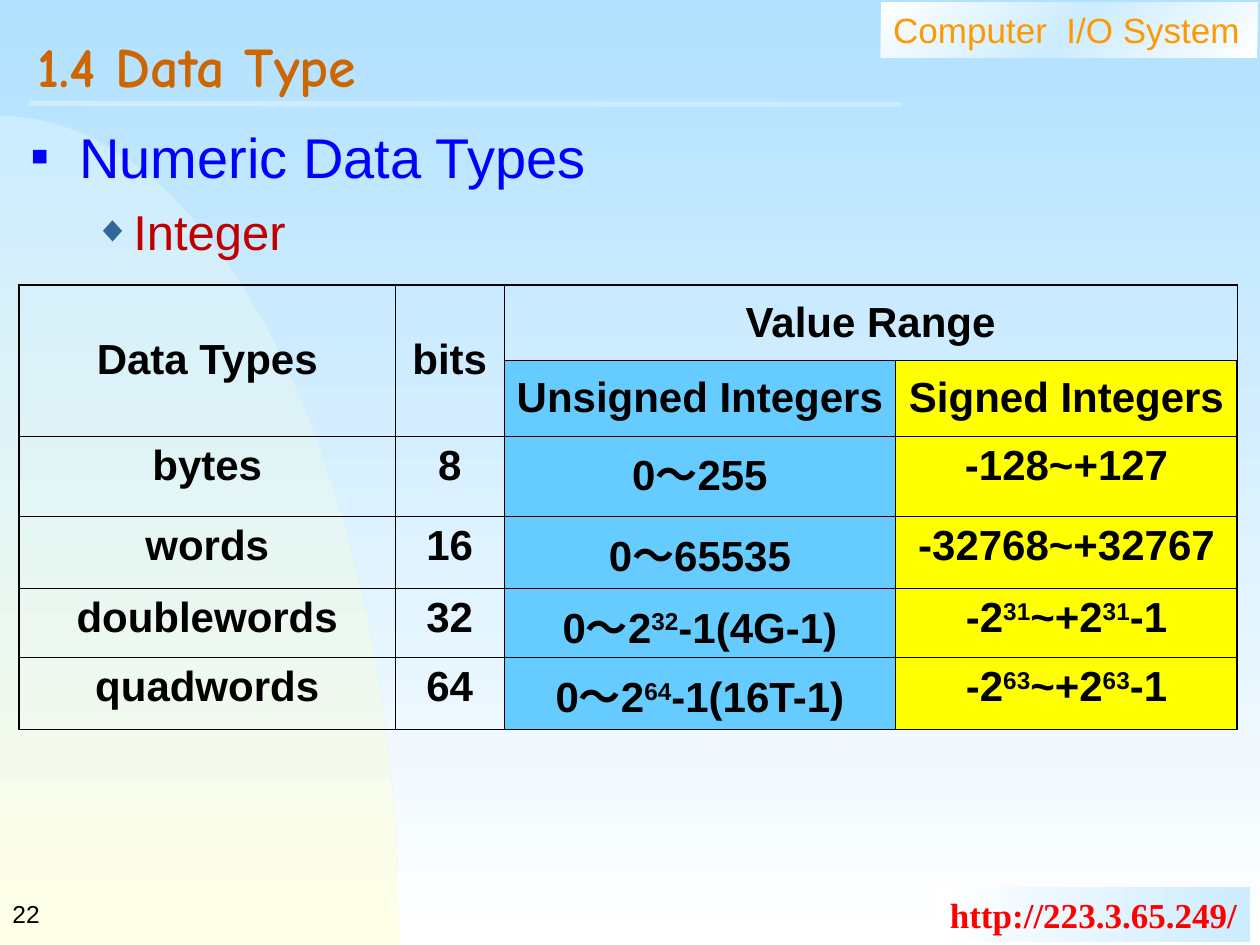
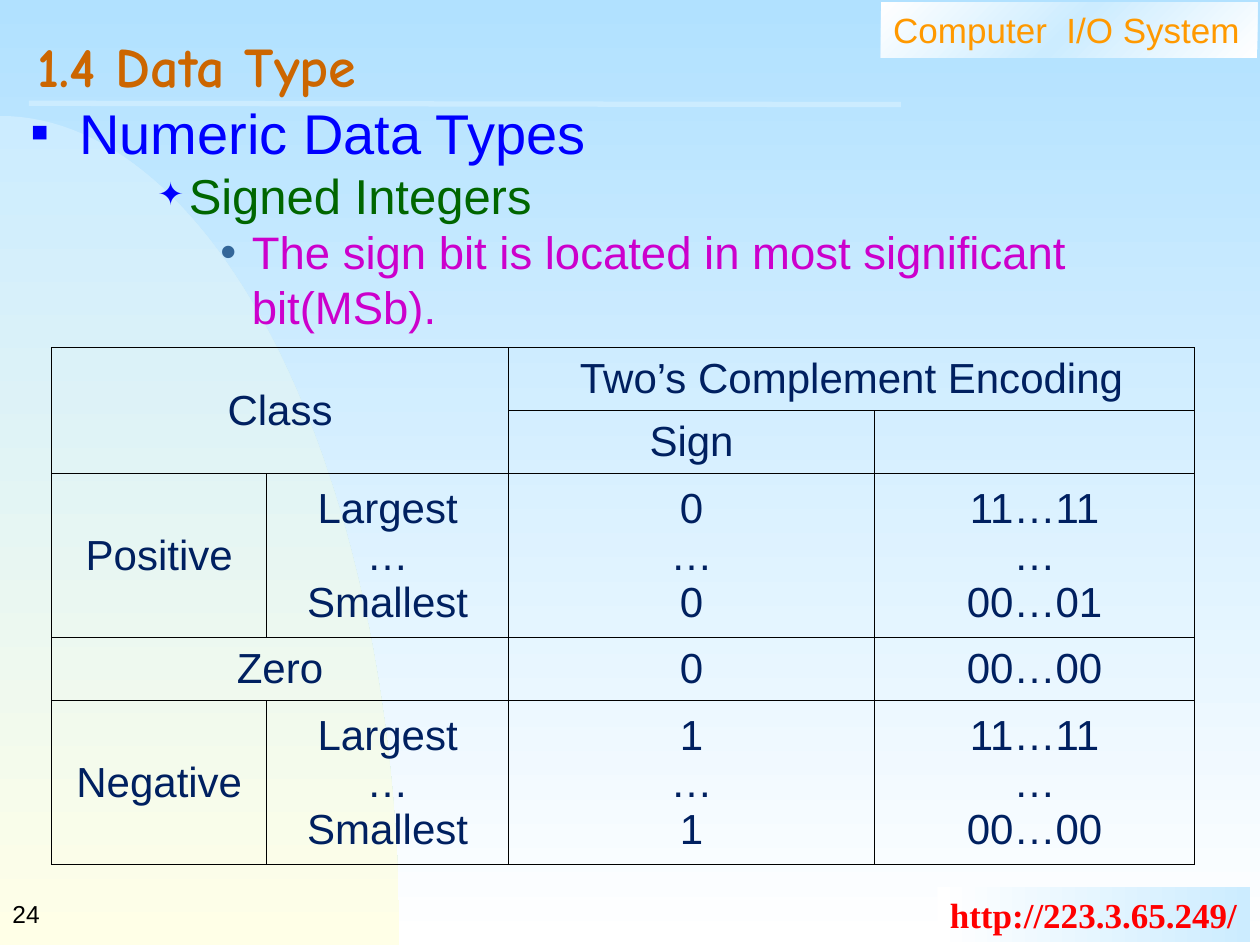
import math
from copy import deepcopy
from dataclasses import dataclass

from lxml import etree
from pptx import Presentation
from pptx.dml.color import RGBColor
from pptx.enum.shapes import MSO_CONNECTOR, MSO_SHAPE
from pptx.enum.text import MSO_ANCHOR, MSO_AUTO_SIZE, PP_ALIGN
from pptx.oxml.ns import qn
from pptx.util import Inches, Pt

LEFT, CENTER = PP_ALIGN.LEFT, PP_ALIGN.CENTER
TOP, MIDDLE = MSO_ANCHOR.TOP, MSO_ANCHOR.MIDDLE
GROW = MSO_AUTO_SIZE.SHAPE_TO_FIT_TEXT
RECTANGLE, STRAIGHT = MSO_SHAPE.RECTANGLE, MSO_CONNECTOR.STRAIGHT

# The slide is a grid of 100 columns by 75 rows of square units.
COLUMNS, ROWS = 100, 75
SLIDE_WIDTH, SLIDE_HEIGHT = Inches(10), Inches(7.5)
UNIT = SLIDE_WIDTH // COLUMNS

BLACK, WHITE, PALE_BLUE = "000000", "FFFFFF", "CCECFF"
SKY, CREAM = "B1E1FF", "FFFFE7"
BLUE, STEEL, NAVY = "0000FF", "336699", "002060"
CYAN, YELLOW = "66CCFF", "FFFF00"

THIN, THICK = 0.45, 1.08


@dataclass
class Style:
    size: float
    colour: str
    font: str = "Arial"
    bold: bool = False


@dataclass
class Bullet:
    mark: str
    colour: str
    percent: int
    indent: float
    hanging: float


TITLE = Style(32, "CC6600", "Comic Neue", True)
COURSE = Style(20, "FF9900")
ADDRESS = Style(20, "FF0000", "Times New Roman", True)
PAGE_NUMBER = Style(14, BLACK)

SQUARE = Bullet("■", BLUE, 50, 3.8, 3.8)
DIAMOND = Bullet("◆", STEEL, 75, 8.1, 3.1)
STAR = Bullet("✦", BLUE, 65, 12.5, 2.5)
DOT = Bullet("•", STEEL, 100, 17.5, 2.5)
TOPIC = ("Numeric Data Types", Style(32, BLUE), SQUARE, 0)


def units(*lengths):
    return [round(length * UNIT) for length in lengths]


def rgb(colour):
    return RGBColor.from_string(colour)


def gradient(fill, owner, colours, angle):
    """Spread the colours evenly; the angle runs counter-clockwise."""
    fill.gradient()
    stop_list = owner.xpath(".//a:gsLst")[0]
    while len(stop_list) < len(colours):
        stop_list.append(deepcopy(stop_list[-1]))
    for i, (stop, colour) in enumerate(zip(fill.gradient_stops, colours)):
        stop.position = i / (len(colours) - 1)
        stop.color.rgb = rgb(colour)
    fill.gradient_angle = angle


def add_bullet(paragraph, bullet):
    properties = paragraph._p.get_or_add_pPr()
    indent, hanging = units(bullet.indent, bullet.hanging)
    properties.set("marL", str(indent))
    properties.set("indent", str(-hanging))
    colour = etree.SubElement(properties, qn("a:buClr"))
    etree.SubElement(colour, qn("a:srgbClr"), val=bullet.colour)
    etree.SubElement(properties, qn("a:buSzPct"), val=str(bullet.percent * 1000))
    etree.SubElement(properties, qn("a:buFont"), typeface="Arial")
    etree.SubElement(properties, qn("a:buChar"), char=bullet.mark)


def write(paragraph, text, style, align=LEFT):
    """Write the text; parts between carets are superscripts."""
    paragraph.alignment = align
    font = paragraph.font
    font.name, font.size, font.bold = style.font, Pt(style.size), style.bold
    font.color.rgb = rgb(style.colour)
    for i, part in enumerate(text.split("^")):
        run = paragraph.add_run()
        run.text = part
        if i % 2:
            run._r.get_or_add_rPr().set("baseline", "30000")


def text_box(slide, box, anchor=TOP):
    frame = slide.shapes.add_textbox(*units(*box)).text_frame
    frame.word_wrap = True
    frame.vertical_anchor = anchor
    return frame


def band(slide, box, text, style, colours, angle, wrap):
    shape = slide.shapes.add_shape(RECTANGLE, *units(*box))
    shape.shadow.inherit = False
    shape.line.fill.background()
    gradient(shape.fill, shape._element, colours, angle)
    frame = shape.text_frame
    frame.word_wrap = wrap
    frame.auto_size = GROW
    frame.vertical_anchor = TOP
    write(frame.paragraphs[0], text, style)


def hill(slide, box, steps=60):
    """A quarter ellipse around the lower left corner of the box."""
    left, top, width, height = box
    angles = [math.pi / 2 * i / steps for i in range(steps + 1)]
    rim = [units(left + width * math.sin(a), top + height * (1 - math.cos(a)))
           for a in angles]
    builder = slide.shapes.build_freeform(*rim[0])
    builder.add_line_segments(rim[1:] + [units(left, top + height)], close=True)
    shape = builder.convert_to_shape()
    shape.shadow.inherit = False
    shape.line.fill.background()
    gradient(shape.fill, shape._element, [PALE_BLUE, CREAM], 270)


def title_rule(slide, start, end):
    rule = slide.shapes.add_connector(STRAIGHT, *units(*start, *end))
    rule.line.color.rgb = rgb(PALE_BLUE)
    rule.line.width = Pt(3)
    etree.SubElement(rule._element.spPr, qn("a:effectLst"))


def base_slide(deck, number):
    slide = deck.slides.add_slide(deck.slide_layouts[6])
    gradient(slide.background.fill, slide._element, [SKY, WHITE], 270)
    hill(slide, (0, 9.2, 31.7, ROWS - 9.2))
    band(slide, (69.9, 0.2, 29.9, 4.4), "Computer  I/O System", COURSE,
         [WHITE, PALE_BLUE, WHITE], 315, True)
    band(slide, (74.4, 70.4, 24.8, 4.4), "http://223.3.65.249/", ADDRESS,
         [WHITE, PALE_BLUE], 0, False)
    title_rule(slide, (2.3, 8.2), (71.5, 8.3))
    title = text_box(slide, (2, 2, 95.5, 7.7), MIDDLE).paragraphs[0]
    title.line_spacing = 0.7
    write(title, "1.4 Data Type", TITLE)
    page = text_box(slide, (0, 70, 20.8, 5), MIDDLE).paragraphs[0]
    write(page, number, PAGE_NUMBER)
    return slide


def outline(slide, box, points):
    frame = text_box(slide, box)
    for i, (text, style, bullet, space) in enumerate(points):
        paragraph = frame.add_paragraph() if i else frame.paragraphs[0]
        add_bullet(paragraph, bullet)
        paragraph.space_before = Pt(space)
        write(paragraph, text, style)


def set_borders(cell, widths):
    properties = cell._tc.get_or_add_tcPr()
    for side, width in widths.items():
        line = etree.SubElement(properties, qn(f"a:ln{side}"), w=str(Pt(width)))
        fill = etree.SubElement(line, qn("a:solidFill"))
        etree.SubElement(fill, qn("a:srgbClr"), val=BLACK)


def grid_table(slide, box, columns, rows, texts, merges, style,
               frame_width=THIN, fills=None, header_rows=None):
    """Rows after header_rows hang from the top; fills maps columns to
    colours, used below the first row."""
    row_count, column_count = len(rows), len(columns)
    table = slide.shapes.add_table(row_count, column_count, *units(*box)).table
    table.first_row = table.horz_banding = False
    for column, share in zip(table.columns, columns):
        column.width, = units(box[2] * share / sum(columns))
    for row, share in zip(table.rows, rows):
        row.height, = units(box[3] * share / sum(rows))

    for r, row_texts in enumerate(texts):
        for c, text in enumerate(row_texts):
            cell = table.cell(r, c)
            set_borders(cell, {
                "L": THIN if c else frame_width,
                "R": THIN if c < column_count - 1 else frame_width,
                "T": THIN if r else frame_width,
                "B": THIN if r < row_count - 1 else frame_width})
            if r and fills and c in fills:
                cell.fill.solid()
                cell.fill.fore_color.rgb = rgb(fills[c])
            else:
                cell.fill.background()
            in_header = header_rows is None or r < header_rows
            cell.vertical_anchor = MIDDLE if in_header else TOP
            if not text:
                continue
            frame = cell.text_frame
            for i, line in enumerate(text.split("\n")):
                paragraph = frame.add_paragraph() if i else frame.paragraphs[0]
                write(paragraph, line, style, CENTER)

    for first, last in merges:
        table.cell(*first).merge(table.cell(*last))


def integer_slide(deck):
    slide = base_slide(deck, "22")
    outline(slide, (1.5, 9.2, 96, 60), [
        TOPIC, ("Integer", Style(28, "C00000"), DIAMOND, 7)])
    grid_table(
        slide, (1.5, 22.6, 96.7, 35.3),
        columns=[29.9, 8.6, 31.1, 27.1],
        rows=[6, 6, 6.4, 5.7, 5.5, 5.7],
        texts=[
            ["Data Types", "bits", "Value Range", ""],
            ["", "", "Unsigned Integers", "Signed Integers"],
            ["bytes", "8", "0～255", "-128~+127"],
            ["words", "16", "0～65535", "-32768~+32767"],
            ["doublewords", "32", "0～2^32^-1(4G-1)", "-2^31^~+2^31^-1"],
            ["quadwords", "64", "0～2^64^-1(16T-1)", "-2^63^~+2^63^-1"]],
        merges=[((0, 0), (1, 0)), ((0, 1), (1, 1)), ((0, 2), (0, 3))],
        style=Style(24, BLACK, bold=True), frame_width=THICK,
        fills={2: CYAN, 3: YELLOW}, header_rows=2)


def signed_slide(deck):
    slide = base_slide(deck, "24")
    outline(slide, (1.5, 7.3, 96, 62.8), [
        TOPIC,
        ("Signed Integers", Style(28, "006600"), STAR, 0),
        ("The sign bit is located in most significant bit(MSb).",
         Style(26, "CC00CC"), DOT, 0)])
    extremes = "Largest\n…\nSmallest"
    grid_table(
        slide, (4.1, 27.6, 90.7, 41),
        columns=[17.1, 19.2, 29.1, 25.4],
        rows=[5, 5, 13, 5, 13],
        texts=[
            ["Class", "", "Two’s Complement Encoding", ""],
            ["", "", "Sign", ""],
            ["Positive", extremes, "0\n…\n0", "11…11\n…\n00…01"],
            ["Zero", "", "0", "00…00"],
            ["Negative", extremes, "1\n…\n1", "11…11\n…\n00…00"]],
        merges=[((0, 0), (1, 1)), ((0, 2), (0, 3)), ((3, 0), (3, 1))],
        style=Style(24, NAVY))


def main():
    deck = Presentation()
    deck.slide_width, deck.slide_height = SLIDE_WIDTH, SLIDE_HEIGHT
    integer_slide(deck)
    signed_slide(deck)
    deck.save("out.pptx")


if __name__ == "__main__":
    main()
